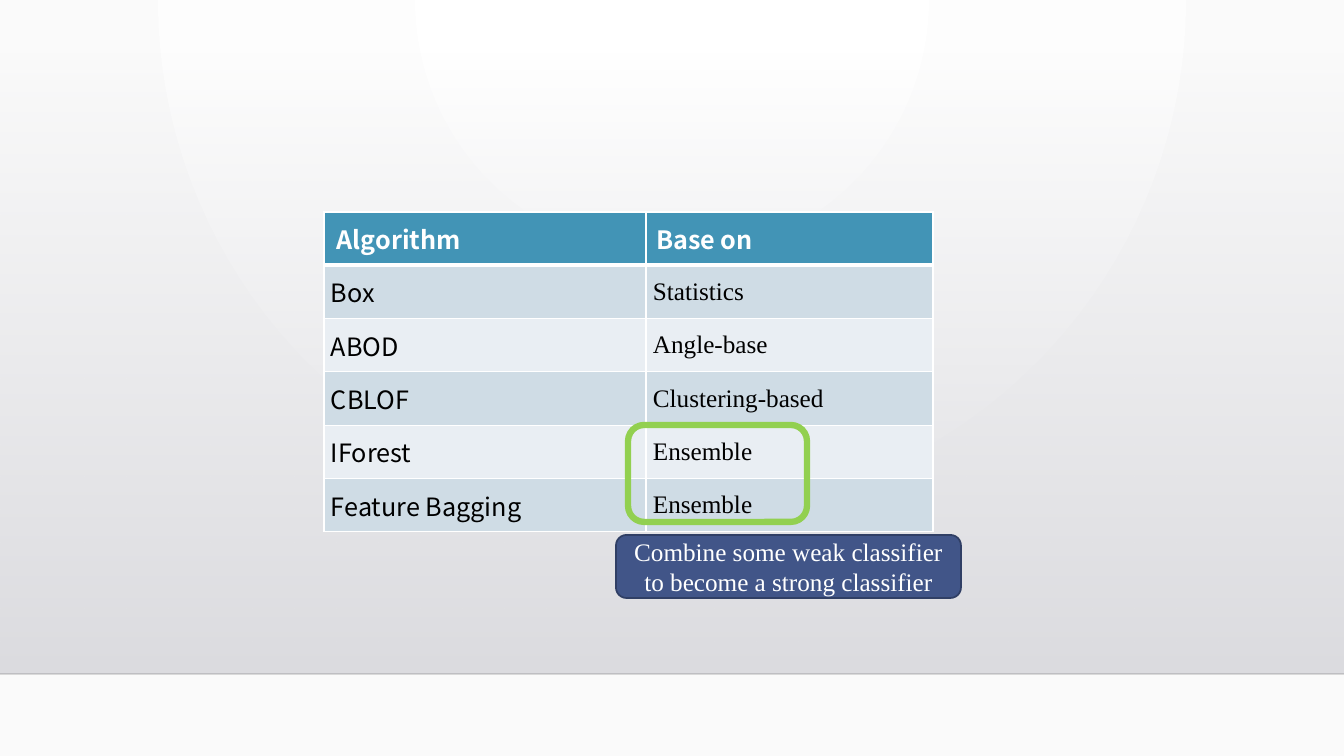
"""Build the slide that lists detection algorithms and what each is based on."""
from pptx import Presentation, util as u
from pptx.dml.color import RGBColor
from pptx.enum import shapes, text
from pptx.oxml import parse_xml
from pptx.oxml.ns import nsdecls, qn

PX = 914400 / 100.8
SANS, SERIF = "Noto Sans CJK SC", "Times New Roman"


def px(*nums):
    return [round(n * PX) for n in nums]


def paint(fill, hue):
    fill.solid()
    fill.fore_color.rgb = RGBColor.from_string(hue)


deck = Presentation()
deck.slide_width, deck.slide_height = px(1344, 756)
slide = deck.slides.add_slide(deck.slide_layouts[6])
items = slide.shapes

paint(slide.background.fill, "FFFFFF")
band = items.add_shape(shapes.MSO_SHAPE.RECTANGLE, *px(0, 51, 1344, 623))
band.shadow.inherit = False
band.line.fill.background()
paint(band.fill, "DEDEE2")

glow = '<a:path path="circle"><a:fillToRect l="43000" r="43000" b="100000"/></a:path>'
fades = [
    (slide.element.cSld.bg, "FFFFFF", 100, "FAFAFA", glow),
    (band.element.spPr, "DCDCE0", 0, "DEDEE2", '<a:lin ang="5400000" scaled="0"/>'),
]
for root, start, alpha, end, way in fades:
    old = next(root.iter(qn("a:solidFill")))
    old.getparent().replace(old, parse_xml(
        f'<a:gradFill {nsdecls("a")} rotWithShape="1"><a:gsLst>'
        f'<a:gs pos="0"><a:srgbClr val="{start}"><a:alpha val="{alpha * 1000}"/></a:srgbClr></a:gs>'
        f'<a:gs pos="100000"><a:srgbClr val="{end}"/></a:gs></a:gsLst>{way}</a:gradFill>'))

floor = items.add_connector(shapes.MSO_CONNECTOR.STRAIGHT, *px(0, 674, 1344, 674))
floor.line.width = u.Pt(1)
paint(floor.line.fill, "000001")
tint = next(floor.element.spPr.iter(qn("a:srgbClr")))
tint.append(parse_xml(f'<a:alpha {nsdecls("a")} val="20000"/>'))
floor.element.spPr.append(parse_xml(f'<a:effectLst {nsdecls("a")}/>'))

rows = [
    (" Algorithm", "Base on"),
    ("Box", "Statistics"),
    ("ABOD", "Angle-base"),
    ("CBLOF", "Clustering-based"),
    ("IForest", "Ensemble"),
    ("Feature Bagging", "Ensemble"),
]
grid = items.add_table(len(rows), 2, *px(324, 212, 609, 320)).table
for col, wide in zip(grid.columns, px(322, 287)):
    col.width = wide

for r, row in enumerate(rows):
    head = r == 0
    for c, word in enumerate(row):
        cell = grid.cell(r, c)
        cell.text = word
        cell.vertical_anchor = text.MSO_ANCHOR.MIDDLE
        if not (head and c):
            pad = dict(margin_left=px(7)[0], margin_right=px(7)[0], margin_top=0, margin_bottom=0)
            for key, val in pad.items():
                setattr(cell, key, val)
        font = cell.text_frame.paragraphs[0].runs[0].font
        look = dict(name=SERIF if c and not head else SANS, size=u.Pt(18), bold=head)
        for key, val in look.items():
            setattr(font, key, val)
        paint(font.fill, "FFFFFF" if head else "000000")
        for side in "LRTB":
            thick = 3 if (r, side) in [(0, "B"), (1, "T")] else 1
            cell._tc.get_or_add_tcPr().append(parse_xml(
                f'<a:ln{side} {nsdecls("a")} w="{u.Pt(thick)}"><a:solidFill>'
                f'<a:srgbClr val="FFFFFF"/></a:solidFill></a:ln{side}>'))
        paint(cell.fill, "4294B6" if head else "CFDCE5" if r % 2 else "E9EEF3")

boxes = [
    ((628, 425, 179, 97), None, "92D050", 4.5, ""),
    ((616, 535, 345, 63), "415588", "303F65", 1.25,
     "Combine some weak classifier to become a strong classifier"),
]
for spot, hue, edge, thick, words in boxes:
    box = items.add_shape(shapes.MSO_SHAPE.ROUNDED_RECTANGLE, *px(*spot))
    box.shadow.inherit = False
    if hue:
        paint(box.fill, hue)
    else:
        box.fill.background()
    paint(box.line.fill, edge)
    box.line.width = u.Pt(thick)
    if words:
        frame = box.text_frame
        frame.word_wrap = True
        frame.vertical_anchor = text.MSO_ANCHOR.MIDDLE
        para = frame.paragraphs[0]
        para.text = words
        para.alignment = text.PP_ALIGN.CENTER
        font = para.runs[0].font
        font.name, font.size = SERIF, u.Pt(18)
        paint(font.fill, "FFFFFF")

deck.save("out.pptx")
